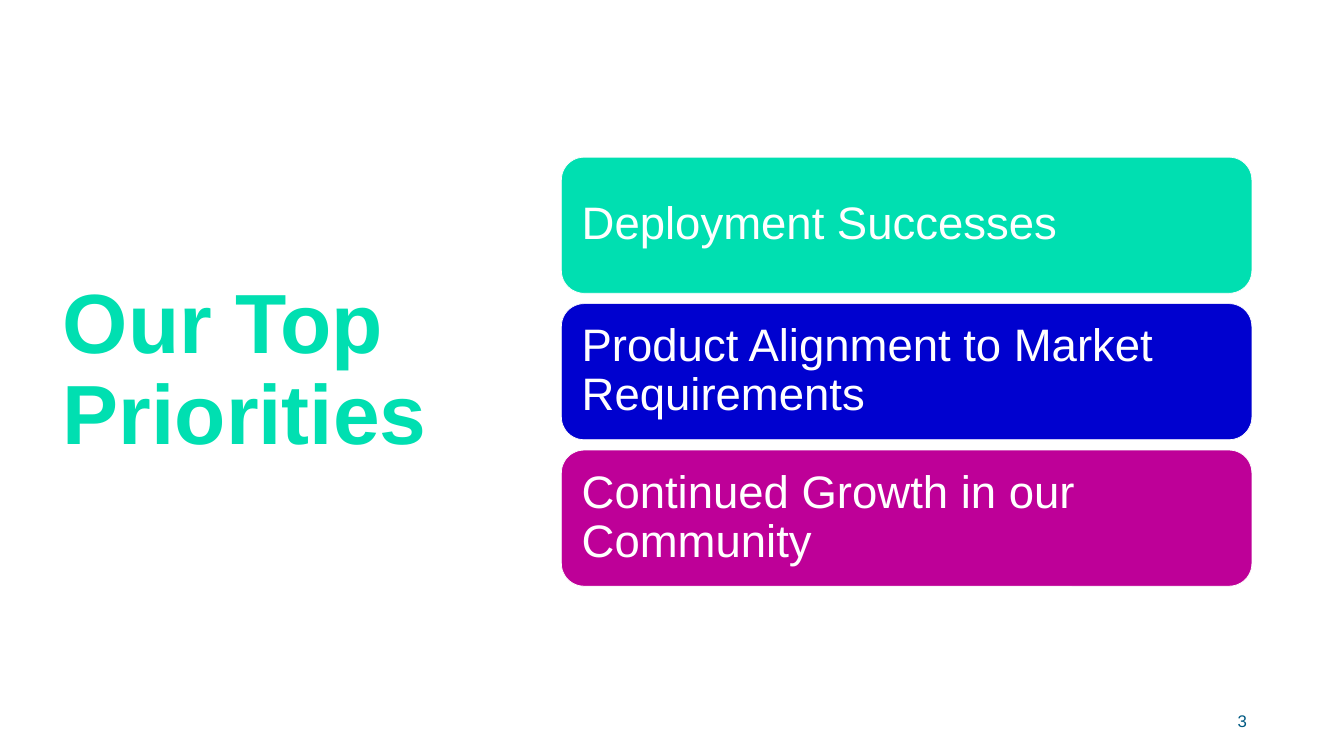
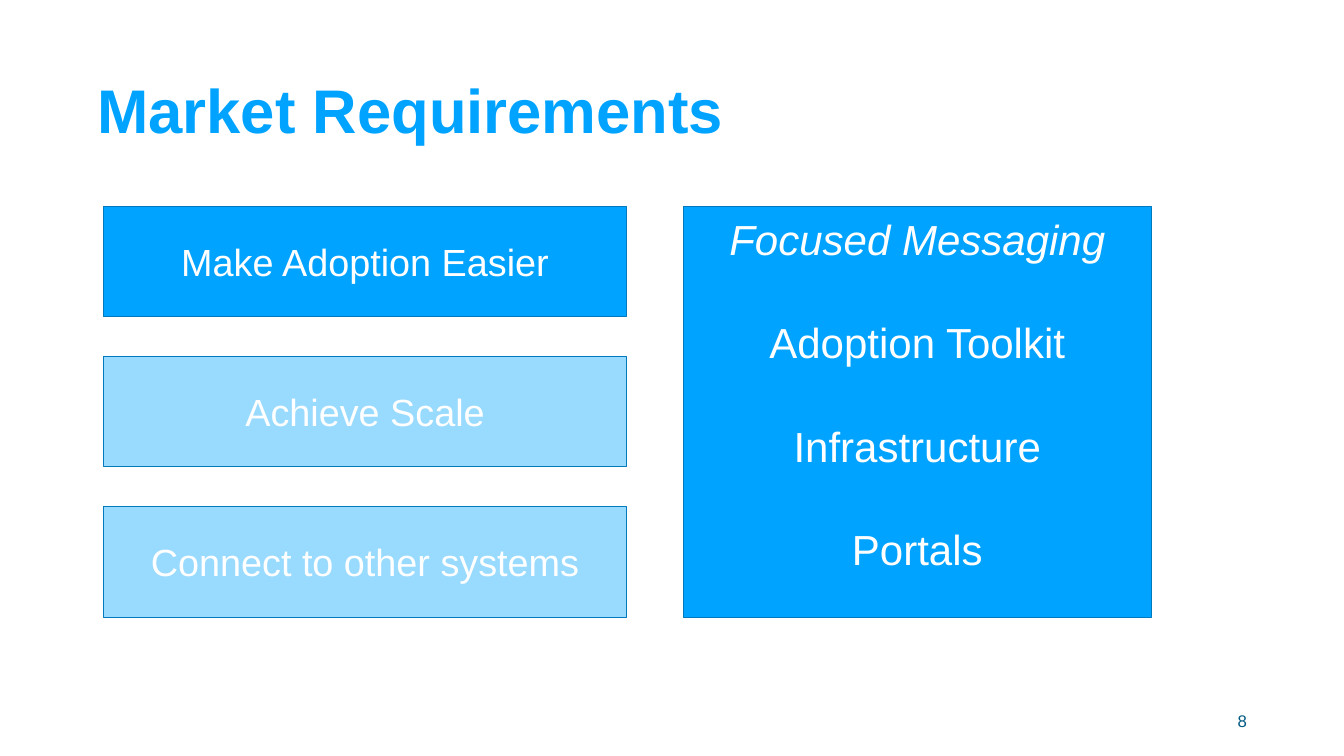
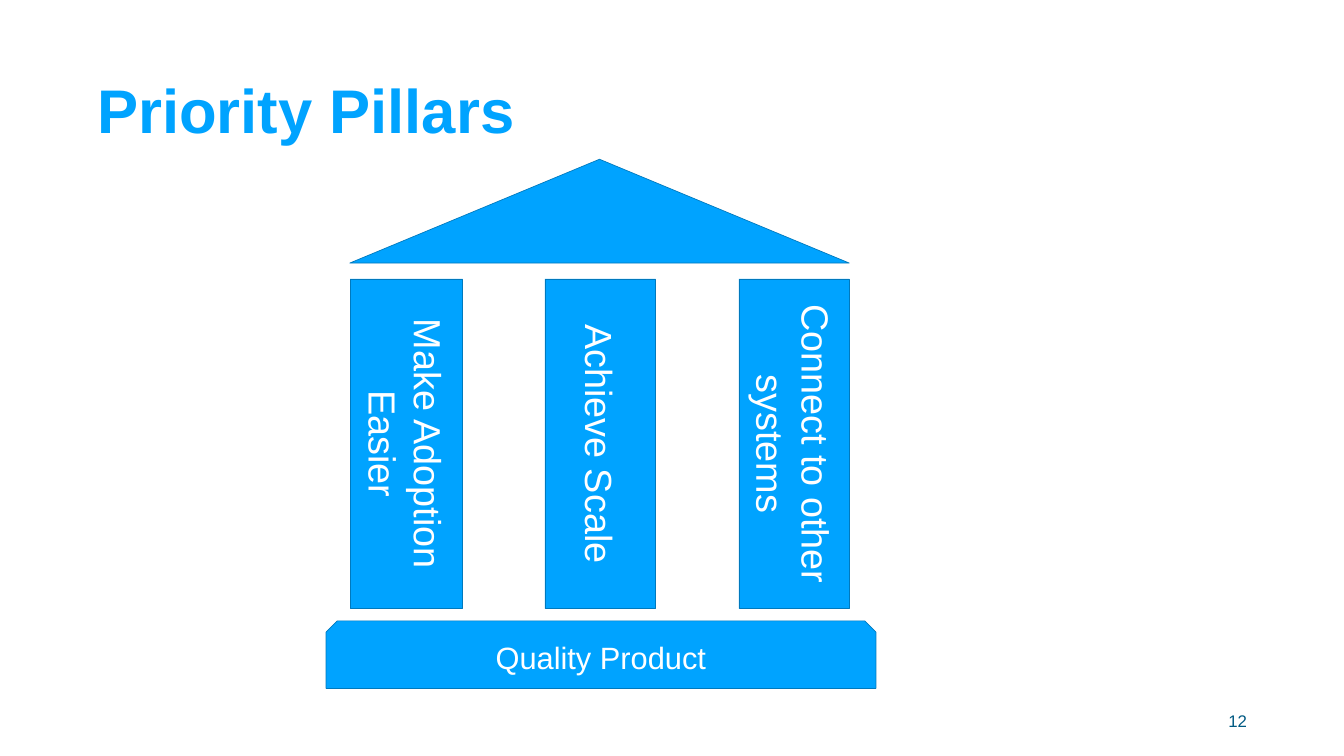
import pptx
import pptx.dml.color
import pptx.enum.shapes
import pptx.enum.text
import pptx.util

Pt = pptx.util.Pt
SHAPES = pptx.enum.shapes.MSO_SHAPE
ALIGN = pptx.enum.text.PP_ALIGN
ANCHOR = pptx.enum.text.MSO_ANCHOR

WHITE = "FFFFFF"
GREEN = "00DFB1"
NAVY = "0001CF"
MAGENTA = "BE0098"
BLUE = "00A3FF"
PALE_BLUE = "99DAFF"
EDGE_BLUE = "0079BD"
NUMBER_BLUE = "005A83"


def rgb(value):
    return pptx.dml.color.RGBColor.from_string(value)


class Deck:
    """Holds the shared style and the slide being filled."""

    font = "Arial"

    def __init__(self):
        self.presentation = pptx.Presentation()
        self.presentation.slide_width = Pt(1920)
        self.presentation.slide_height = Pt(1080)
        self.slide = None

    def new_slide(self, number):
        blank = self.presentation.slide_layouts[6]
        self.slide = self.presentation.slides.add_slide(blank)
        self.label((1356.5, 1000.8, 432, 57.6), number, 24, NUMBER_BLUE, align=ALIGN.RIGHT)

    def set_text(self, frame, text, size, color, bold=False, align=ALIGN.LEFT, spacing=None):
        frame.word_wrap = True
        frame.vertical_anchor = ANCHOR.MIDDLE
        frame.text = text
        for paragraph in frame.paragraphs:
            paragraph.alignment = align
            paragraph.line_spacing = spacing
            for run in paragraph.runs:
                run.font.name = self.font
                run.font.size = Pt(size)
                run.font.bold = bold
                run.font.color.rgb = rgb(color)

    def label(self, area, text, size, color, **style):
        label = self.slide.shapes.add_textbox(*map(Pt, area))
        self.set_text(label.text_frame, text, size, color, **style)

    def title(self, text, area=(131.8, 57.6, 1656, 208.8), size=88, color=BLUE):
        self.label(area, text, size, color, bold=True, spacing=0.9)

    def block(self, area, text="", size=54, kind=SHAPES.RECTANGLE, fill=BLUE,
              edge=EDGE_BLUE, align=ALIGN.CENTER, spacing=None):
        block = self.slide.shapes.add_shape(kind, *map(Pt, area))
        block.shadow.inherit = False
        block.fill.solid()
        block.fill.fore_color.rgb = rgb(fill)
        block.line.color.rgb = rgb(edge)
        block.line.width = Pt(1)
        if text:
            self.set_text(block.text_frame, text, size, WHITE, align=align, spacing=spacing)
        return block

    def card(self, area, text, fill):
        card = self.block(area, text, 65, SHAPES.ROUNDED_RECTANGLE, fill, WHITE,
                          ALIGN.LEFT, 0.9)
        frame = card.text_frame
        frame.margin_left = frame.margin_right = Pt(19.5)
        frame.margin_top = frame.margin_bottom = Pt(19.5)

    def pillar(self, center_x, center_y, length, thickness, text):
        """Add a block turned a quarter clockwise about its centre."""
        area = (center_x - length / 2, center_y - thickness / 2, length, thickness)
        self.block(area, text).rotation = 90


def add_priorities(deck):
    deck.new_slide("3")
    deck.title("Our Top Priorities", (82.8, 98, 600, 867), 120, GREEN)
    priorities = [
        ("Deployment Successes", GREEN),
        ("Product Alignment to Market Requirements", NAVY),
        ("Continued Growth in our Community", MAGENTA),
    ]
    for row, (priority, fill) in enumerate(priorities):
        deck.card((802, 224.6 + row * 209.2, 986.4, 194.4), priority, fill)


def add_requirements(deck, requirements):
    deck.new_slide("8")
    deck.title("Market Requirements")
    top = 294.5
    for row, requirement in enumerate(requirements):
        deck.block((148.3, top + row * 214.6, 746.6, 157.7), requirement,
                   fill=PALE_BLUE if row else BLUE)

    topics = "Focused Messaging\nAdoption Toolkit\nInfrastructure\nPortals"
    frame = deck.block((976.3, top, 668.2, 586.8), topics, 60).text_frame
    frame.vertical_anchor = ANCHOR.TOP
    frame.margin_top = Pt(11)
    heading, *others = frame.paragraphs
    heading.runs[0].font.italic = True
    for topic in others:
        topic.space_before = Pt(75.3)


def add_pillars(deck, requirements):
    deck.new_slide("12")
    deck.title("Priority Pillars")
    for column, requirement in enumerate(requirements):
        thickness = 158 if column else 161
        deck.pillar(580.5 + column * 277, 634, 471, thickness, requirement)
    deck.block((465.8, 887, 785.5, 96.5), "Quality Product", 44,
               SHAPES.SNIP_2_SAME_RECTANGLE)
    deck.block((499.7, 227.5, 713.5, 148.3), kind=SHAPES.ISOSCELES_TRIANGLE)


def main():
    deck = Deck()
    requirements = ["Make Adoption Easier", "Achieve Scale", "Connect to other systems"]
    add_priorities(deck)
    add_requirements(deck, requirements)
    add_pillars(deck, requirements)
    deck.presentation.save("out.pptx")


if __name__ == "__main__":
    main()
